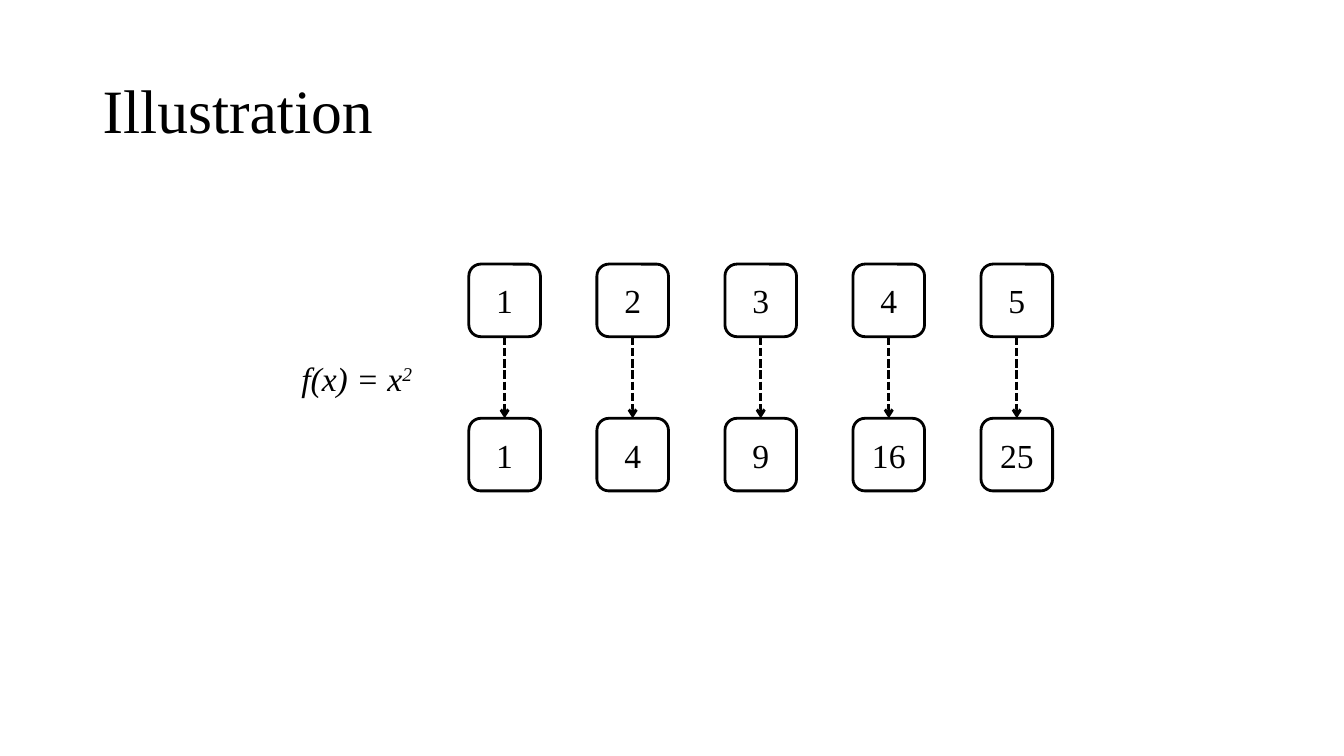
"""Build a slide that maps the numbers 1 to 5 to their squares."""
from lxml.etree import SubElement
from pptx import Presentation
from pptx.dml.color import RGBColor
from pptx.enum.dml import MSO_LINE_DASH_STYLE as Dash
from pptx.enum.shapes import MSO_CONNECTOR as Connector, MSO_SHAPE as Shape
from pptx.enum.text import MSO_ANCHOR as Anchor, MSO_AUTO_SIZE as AutoSize, PP_ALIGN as Align
from pptx.oxml.ns import qn
from pptx.util import Inches, Pt

BLACK = RGBColor(0x00, 0x00, 0x00)
WHITE = RGBColor(0xFF, 0xFF, 0xFF)
FONT = "Times New Roman"
BOX_WIDTH, BOX_HEIGHT = 0.71, 0.72
FIRST_LEFT, COLUMN_STEP = 4.65, 1.27
INPUT_TOP, OUTPUT_TOP = 2.62, 4.15


def add_text(paragraph, text, size, **extra):
    run = paragraph.add_run()
    run.text = text
    for name, value in {"name": FONT, "size": Pt(size), **extra}.items():
        setattr(run.font, name, value)
    run.font.color.rgb = BLACK
    return run


def add_number(value, left, top):
    box = slide.shapes.add_shape(
        Shape.ROUNDED_RECTANGLE, Inches(left), Inches(top), Inches(BOX_WIDTH), Inches(BOX_HEIGHT))
    box.shadow.inherit = False
    box.fill.solid()
    box.fill.fore_color.rgb = WHITE
    box.line.color.rgb = BLACK
    box.line.width = Pt(2)
    box.text_frame.vertical_anchor = Anchor.MIDDLE
    paragraph = box.text_frame.paragraphs[0]
    paragraph.alignment = Align.CENTER
    add_text(paragraph, str(value), 24)
    return box


deck = Presentation()
deck.slide_width, deck.slide_height = Inches(13.33), Inches(7.5)
slide = deck.slides.add_slide(deck.slide_layouts[6])

title = slide.shapes.add_textbox(Inches(0.92), Inches(0.4), Inches(11.5), Inches(1.45)).text_frame
title.word_wrap = True
title.vertical_anchor = Anchor.MIDDLE
title.paragraphs[0].line_spacing = 0.9
add_text(title.paragraphs[0], "Illustration", 44)

for column, number in enumerate(range(1, 6)):
    left = FIRST_LEFT + column * COLUMN_STEP
    argument = add_number(number, left, INPUT_TOP)
    square = add_number(number ** 2, left, OUTPUT_TOP)
    mapping = slide.shapes.add_connector(Connector.STRAIGHT, 0, 0, 0, 0)
    mapping.begin_connect(argument, 2)
    mapping.end_connect(square, 0)
    for name, value in {"width": Pt(2), "dash_style": Dash.SQUARE_DOT}.items():
        setattr(mapping.line, name, value)
    mapping.line.color.rgb = BLACK
    SubElement(mapping.line._get_or_add_ln(), qn("a:tailEnd"), type="arrow")
    SubElement(mapping._element.spPr, qn("a:effectLst"))

formula = slide.shapes.add_textbox(Inches(2.89), Inches(3.5), Inches(1.47), Inches(0.5)).text_frame
formula.word_wrap = False
formula.auto_size = AutoSize.SHAPE_TO_FIT_TEXT
add_text(formula.paragraphs[0], "f(x) = x", 24, italic=True)
exponent = add_text(formula.paragraphs[0], "2", 24, italic=True)
exponent._r.get_or_add_rPr().set("baseline", "30000")

deck.save("out.pptx")
